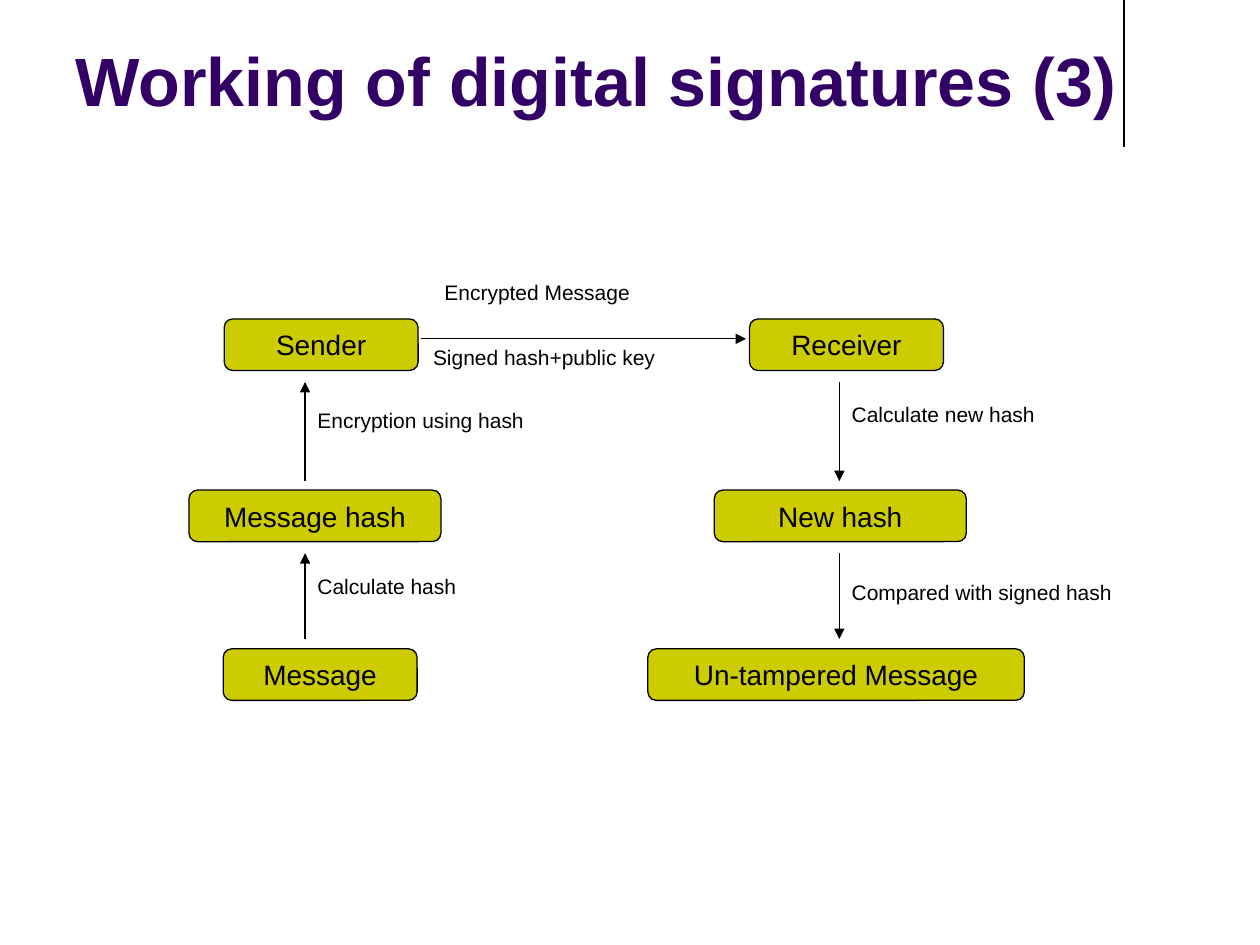
"""Build the slide that shows how a digital signature is made and checked."""
from dataclasses import dataclass

from lxml.etree import SubElement
from pptx import Presentation
from pptx.dml.color import RGBColor
from pptx.enum.shapes import MSO_CONNECTOR, MSO_SHAPE
from pptx.enum.text import MSO_ANCHOR, PP_ALIGN
from pptx.oxml.ns import qn
from pptx.util import Cm, Pt


@dataclass(frozen=True)
class Theme:
    font: str = "Arial"
    title_color: RGBColor = RGBColor(0x33, 0x00, 0x66)
    ink: RGBColor = RGBColor(0x00, 0x00, 0x00)
    box_fill: RGBColor = RGBColor(0xCC, 0xCC, 0x00)
    title_size: Pt = Pt(39)
    box_size: Pt = Pt(16)
    label_size: Pt = Pt(12)
    line_width: Pt = Pt(0.75)


theme = Theme()


def write(shape, text, size, color, align, anchor, bold=False):
    frame = shape.text_frame
    frame.text = text
    frame.word_wrap = True
    frame.vertical_anchor = anchor
    para = frame.paragraphs[0]
    para.alignment = align
    font = para.runs[0].font
    font.name, font.size, font.bold = theme.font, size, bold
    font.color.rgb = color


def draw_line(slide, start_x, start_y, end_x, end_y, arrow=True):
    line = slide.shapes.add_connector(
        MSO_CONNECTOR.STRAIGHT, Cm(start_x), Cm(start_y), Cm(end_x), Cm(end_y))
    line.line.color.rgb = theme.ink
    line.line.width = theme.line_width
    if arrow:
        SubElement(line.line._get_or_add_ln(), qn("a:tailEnd"), type="triangle")
    SubElement(line._element.spPr, qn("a:effectLst"))


deck = Presentation()
deck.slide_width, deck.slide_height = Cm(25.4), Cm(19.05)
slide = deck.slides.add_slide(deck.slide_layouts[5])

draw_line(slide, 22.66, 0, 22.66, 2.97, arrow=False)

title = slide.shapes.title
title.left, title.top, title.width, title.height = Cm(1.27), Cm(0.43), Cm(22.86), Cm(2.34)
write(title, "Working of digital signatures (3)", theme.title_size,
      theme.title_color, PP_ALIGN.LEFT, MSO_ANCHOR.MIDDLE, bold=True)

top_row, middle_row, bottom_row = 6.43, 9.88, 13.08
narrow, medium, wide = 3.91, 5.08, 7.59
boxes = [
    ("Message", 4.5, bottom_row, narrow),
    ("Message hash", 3.81, middle_row, medium),
    ("Sender", 4.52, top_row, narrow),
    ("Un-tampered Message", 13.06, bottom_row, wide),
    ("New hash", 14.4, middle_row, medium),
    ("Receiver", 15.11, top_row, narrow),
]
for text, left, top, width in boxes:
    box = slide.shapes.add_shape(
        MSO_SHAPE.ROUNDED_RECTANGLE, Cm(left), Cm(top), Cm(width), Cm(1.04))
    box.shadow.inherit = False
    box.fill.solid()
    box.fill.fore_color.rgb = theme.box_fill
    box.line.color.rgb = theme.ink
    box.line.width = theme.line_width
    write(box, text, theme.box_size, theme.ink, PP_ALIGN.CENTER, MSO_ANCHOR.MIDDLE)

sender_x, receiver_x = 6.15, 16.92
upper_gap, lower_gap = (7.7, 9.7), (11.15, 12.88)
for gap_top, gap_bottom in (upper_gap, lower_gap):
    draw_line(slide, sender_x, gap_bottom, sender_x, gap_top)
    draw_line(slide, receiver_x, gap_top, receiver_x, gap_bottom)
draw_line(slide, 8.48, 6.83, 15.04, 6.83)

labels = [
    ("Calculate hash", sender_x, 11.43, 4.93),
    ("Encryption using hash", sender_x, 8.1, 5.38),
    ("Encrypted Message", 8.71, 5.51, 5.38),
    ("Signed hash+public key", 8.48, 6.83, 6.1),
    ("Calculate new hash", receiver_x, 7.98, 5.38),
    ("Compared with signed hash", receiver_x, 11.56, 6.58),
]
for text, left, top, width in labels:
    label = slide.shapes.add_textbox(Cm(left), Cm(top), Cm(width), Cm(0.76))
    write(label, text, theme.label_size, theme.ink, PP_ALIGN.LEFT, MSO_ANCHOR.TOP)

deck.save("out.pptx")
